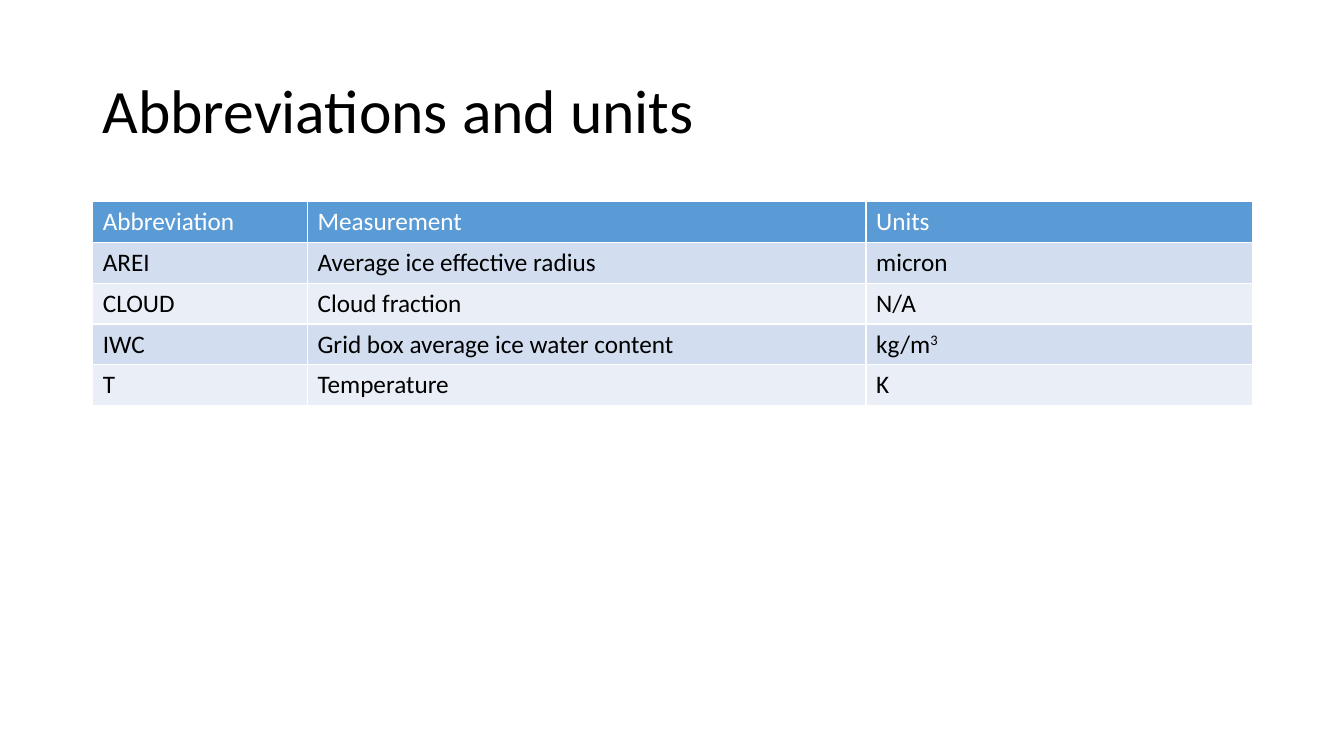
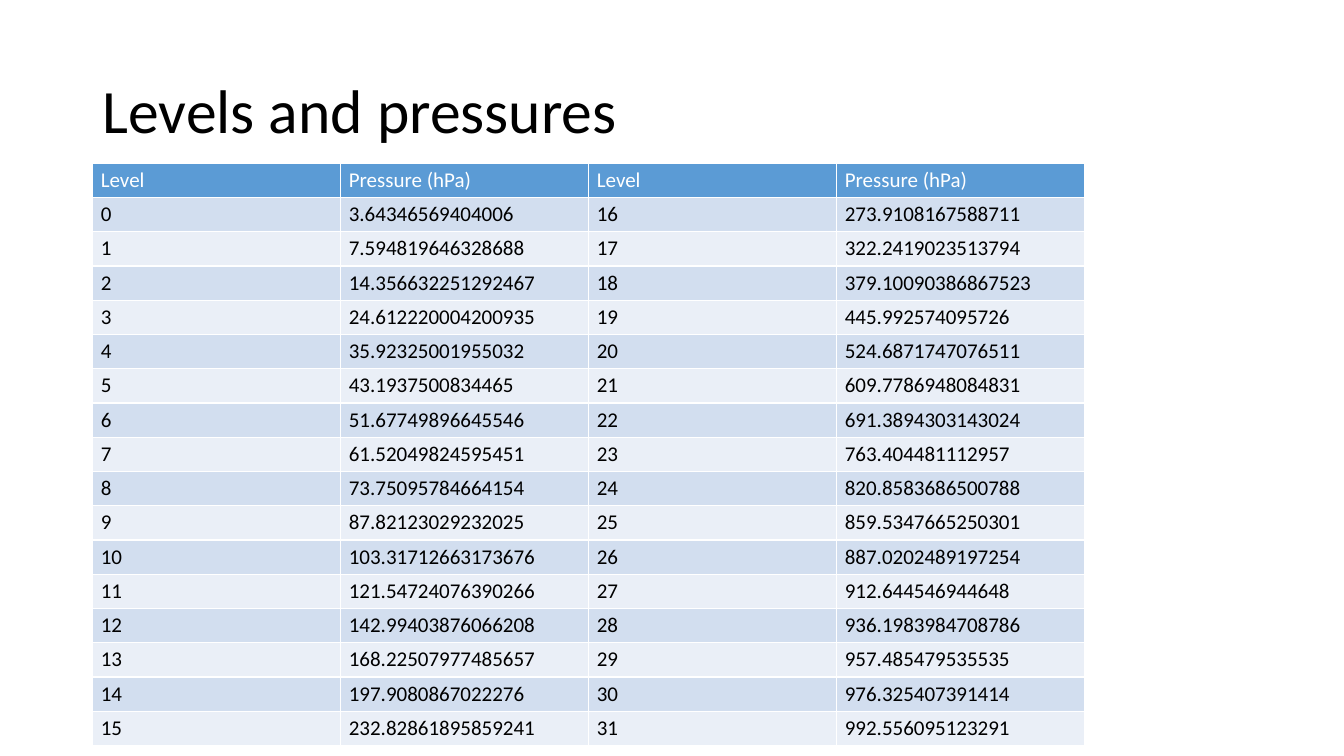
from lxml import etree
from pptx import Presentation, util as u
from pptx.dml.color import RGBColor
from pptx.enum import text
from pptx.oxml.ns import qn

COLORS = {"text": "000000", "white": "FFFFFF", "header": "5B9BD5",
          "odd": "D2DEEF", "even": "EAEFF7"}
FONT = "Calibri"
SLIDE_W, SLIDE_H = 13.33, 7.5
LEFT, CONTENT_W = 0.92, 11.5
TITLE_BOX = (LEFT, 0.4, CONTENT_W, 1.45)

ABBREVIATIONS = [
    ("Abbreviation", "Measurement", "Units"),
    ("AREI", "Average ice effective radius", "micron"),
    ("CLOUD", "Cloud fraction", "N/A"),
    ("IWC", "Grid box average ice water content", "kg/m^3"),
    ("T", "Temperature", "K"),
]

# Pressures in hPa, listed by level from 0
PRESSURES = """
3.64346569404006 7.594819646328688 14.356632251292467 24.612220004200935
35.92325001955032 43.1937500834465 51.67749896645546 61.52049824595451
73.75095784664154 87.82123029232025 103.31712663173676 121.54724076390266
142.99403876066208 168.22507977485657 197.9080867022276 232.82861895859241
273.9108167588711 322.2419023513794 379.10090386867523 445.992574095726
524.6871747076511 609.7786948084831 691.3894303143024 763.404481112957
820.8583686500788 859.5347665250301 887.0202489197254 912.644546944648
936.1983984708786 957.485479535535 976.325407391414 992.556095123291
""".split()


def set_attrs(obj, values):
    for name, value in values.items():
        setattr(obj, name, value)


def add_run(p, content, size, color):
    r = p.add_run()
    r.text = content
    set_attrs(r.font, {"name": FONT, "size": u.Pt(size), "bold": False})
    r.font.color.rgb = RGBColor.from_string(COLORS[color])
    return r


def add_title(slide, box, content):
    tf = slide.shapes.add_textbox(*map(u.Inches, box)).text_frame
    set_attrs(tf, {"word_wrap": True, "vertical_anchor": text.MSO_ANCHOR.MIDDLE})
    p = tf.paragraphs[0]
    p.line_spacing = 0.9
    add_run(p, content, 44, "text")


def add_borders(cell, color="white", width=1):
    tc_pr = cell._tc.get_or_add_tcPr()
    for side in ("lnL", "lnR", "lnT", "lnB"):
        ln = etree.SubElement(tc_pr, qn(f"a:{side}"), w=str(u.Pt(width)))
        fill = etree.SubElement(ln, qn("a:solidFill"))
        etree.SubElement(fill, qn("a:srgbClr"), val=COLORS[color])


def fill_cell(cell, content, size, row, margins):
    set_attrs(cell, margins)
    add_borders(cell)
    band = "header" if row == 0 else "odd" if row % 2 else "even"
    cell.fill.solid()
    cell.fill.fore_color.rgb = RGBColor.from_string(COLORS[band])
    # A caret marks the start of a superscript
    base, _, power = content.partition("^")
    p = cell.text_frame.paragraphs[0]
    color = "text" if row else "white"
    add_run(p, base, size, color)
    if power:
        r = add_run(p, power, size, color)
        r._r.get_or_add_rPr().set("baseline", "30000")


def add_data_table(slide, top, rows, widths, row_h, size, margins):
    box = (LEFT, top, sum(widths), row_h * len(rows))
    table = slide.shapes.add_table(len(rows), len(widths),
                                   *map(u.Inches, box)).table
    for column, width in zip(table.columns, widths):
        column.width = u.Inches(width)
    for i, row in enumerate(rows):
        table.rows[i].height = u.Inches(row_h)
        for j, content in enumerate(row):
            fill_cell(table.cell(i, j), content, size, i, margins)


def level_rows():
    half = len(PRESSURES) // 2
    return [("Level", "Pressure (hPa)") * 2] + [
        (str(n), PRESSURES[n], str(n + half), PRESSURES[n + half])
        for n in range(half)]


def add_table_slide(prs, title, **table):
    slide = prs.slides.add_slide(prs.slide_layouts[6])
    add_title(slide, TITLE_BOX, title)
    add_data_table(slide, **table)


def main():
    prs = Presentation()
    prs.slide_width, prs.slide_height = u.Inches(SLIDE_W), u.Inches(SLIDE_H)

    add_table_slide(prs, "Abbreviations and units", top=2, rows=ABBREVIATIONS,
                    widths=(2.13, 5.54, 3.83), row_h=0.405, size=18, margins={})

    # Tighter cells for the long table
    tight = {"margin_left": u.Inches(0.08), "margin_right": u.Inches(0.08),
             "margin_top": u.Inches(0.04), "margin_bottom": u.Inches(0.04)}
    add_table_slide(prs, "Levels and pressures", top=1.62, rows=level_rows(),
                    widths=(2.46,) * 4, row_h=0.34, size=15, margins=tight)

    prs.save("out.pptx")


if __name__ == "__main__":
    main()
